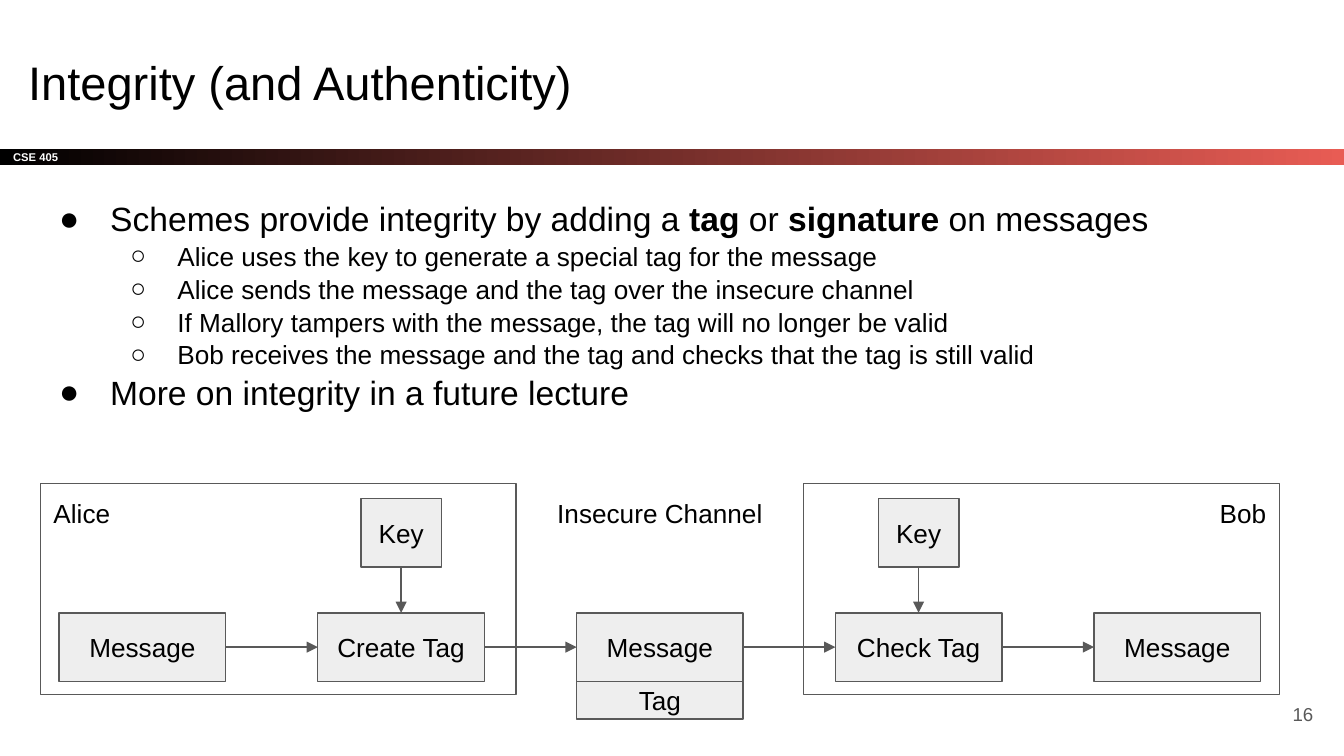
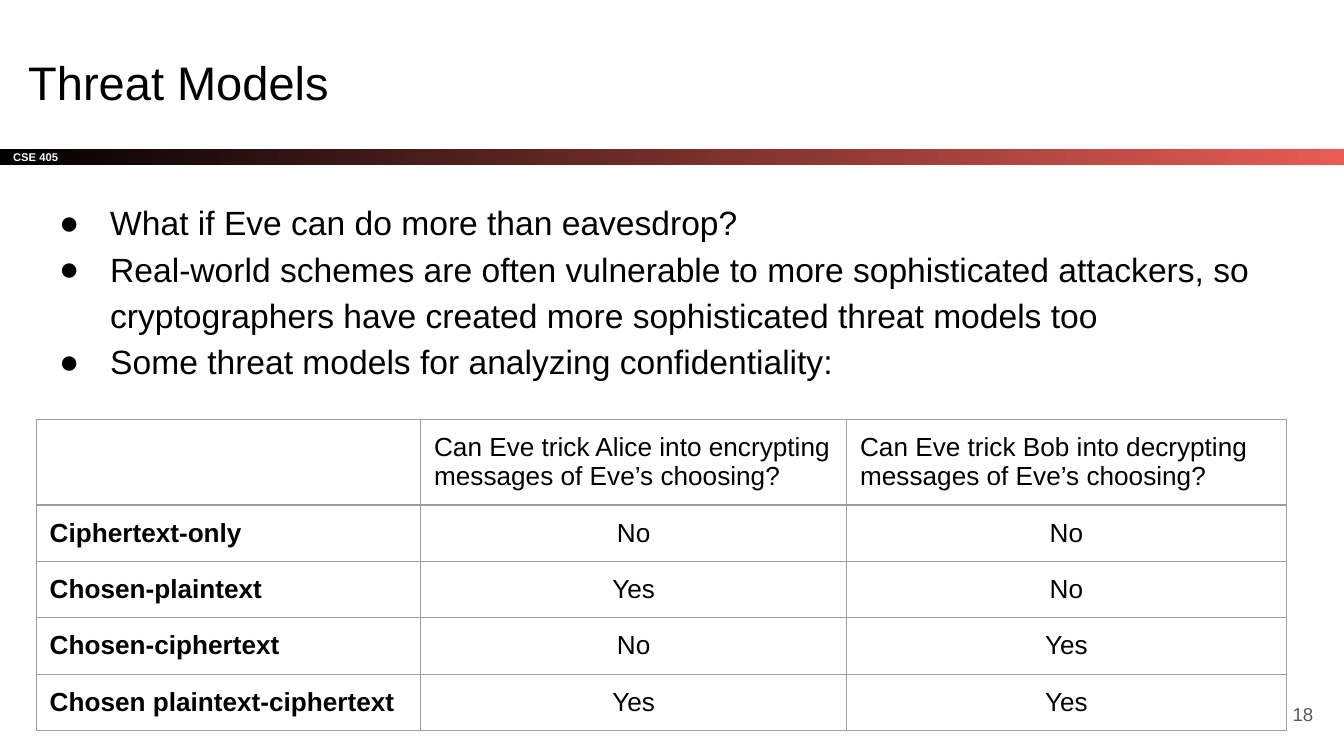
import pptx
import pptx.dml.color
import pptx.enum.shapes
import pptx.enum.text
import pptx.oxml.ns
import pptx.util
from lxml import etree

Inches = pptx.util.Inches
Pt = pptx.util.Pt
qn = pptx.oxml.ns.qn
ALIGN = pptx.enum.text.PP_ALIGN
ANCHOR = pptx.enum.text.MSO_ANCHOR
AUTO = pptx.enum.text.MSO_AUTO_SIZE
RECT = pptx.enum.shapes.MSO_SHAPE.RECTANGLE
STRAIGHT = pptx.enum.shapes.MSO_CONNECTOR.STRAIGHT

FONT = "Arial"
INSET = 0.1
SLIDE_W = 10
SLIDE_H = SLIDE_W * 9 / 16
COLORS = {
    "text": "000000",
    "band_start": "000000",
    "band_end": "E85C54",
    "band_text": "FFFFFF",
    "line": "595959",
    "box": "EEEEEE",
    "grid": "9E9E9E",
}
# Bullet level: (character, left margin, hanging indent, text size)
LEVELS = [("●", 0.5, 0.38, 18), ("○", 1, 0.35, 14)]


def rgb(name):
    return pptx.dml.color.RGBColor.from_string(COLORS[name])


def lengths(*values):
    return [Inches(v) for v in values]


def add_run(p, text, size, color="text", bold=False):
    r = p.add_run()
    r.text = text
    r.font.name = FONT
    r.font.size = Pt(size)
    r.font.bold = bold
    r.font.color.rgb = rgb(color)


def set_frame(tf, anchor=ANCHOR.TOP):
    tf.word_wrap = True
    tf.auto_size = AUTO.NONE
    tf.vertical_anchor = anchor
    tf.margin_left = tf.margin_right = tf.margin_top = tf.margin_bottom = Inches(INSET)


def write_line(sp, text, size, color="text", bold=False, align=ALIGN.LEFT, anchor=ANCHOR.TOP):
    set_frame(sp.text_frame, anchor)
    p = sp.text_frame.paragraphs[0]
    p.alignment = align
    add_run(p, text, size, color, bold)


def place(sp, box):
    sp.left, sp.top, sp.width, sp.height = lengths(*box)


def add_rect(slide, box, fill=None):
    sp = slide.shapes.add_shape(RECT, *lengths(*box))
    sp.shadow.inherit = False
    if fill:
        sp.fill.solid()
        sp.fill.fore_color.rgb = rgb(fill)
    else:
        sp.fill.background()
    sp.line.color.rgb = rgb("line")
    sp.line.width = Pt(0.75)
    return sp


def add_box(slide, text, box):
    sp = add_rect(slide, box, "box")
    write_line(sp, text, 14, align=ALIGN.CENTER, anchor=ANCHOR.MIDDLE)
    return sp


def add_label(slide, text, box, align):
    sp = slide.shapes.add_textbox(*lengths(*box))
    write_line(sp, text, 14, align=align)
    sp.text_frame.auto_size = AUTO.SHAPE_TO_FIT_TEXT


def add_arrow(slide, start, start_side, end, end_side):
    cx = slide.shapes.add_connector(STRAIGHT, 0, 0, 0, 0)
    cx.begin_connect(start, start_side)
    cx.end_connect(end, end_side)
    cx.line.color.rgb = rgb("line")
    cx.line.width = Pt(0.75)
    etree.SubElement(cx.line._get_or_add_ln(), qn("a:tailEnd"), type="triangle")
    etree.SubElement(cx._element.spPr, qn("a:effectLst"))


def add_band(slide, box):
    band = add_rect(slide, box)
    band.line.fill.background()
    band.fill.gradient()
    band.fill.gradient_angle = 0
    for stop, position, name in zip(band.fill.gradient_stops, (0, 1), ("band_start", "band_end")):
        stop.position = position
        stop.color.rgb = rgb(name)
    write_line(band, "CSE 405", 6, "band_text", bold=True, anchor=ANCHOR.MIDDLE)


def add_page_number(slide, number, box):
    sp = slide.shapes.add_textbox(*lengths(*box))
    write_line(sp, str(number), 10, "line", align=ALIGN.RIGHT, anchor=ANCHOR.MIDDLE)


def set_bullet(p, level):
    char, margin, hang, size = LEVELS[level]
    p.level = level
    pPr = p._p.get_or_add_pPr()
    pPr.set("marL", str(Inches(margin)))
    pPr.set("indent", str(-Inches(hang)))
    color = etree.SubElement(pPr, qn("a:buClr"))
    etree.SubElement(color, qn("a:srgbClr"), val=COLORS["text"])
    etree.SubElement(pPr, qn("a:buFont"), typeface=FONT)
    etree.SubElement(pPr, qn("a:buChar"), char=char)
    return size


def fill_body(body, items, spacing, box):
    """Each item is (level, runs); every second run is bold."""
    place(body, box)
    tf = body.text_frame
    set_frame(tf)
    for i, (level, runs) in enumerate(items):
        p = tf.add_paragraph() if i else tf.paragraphs[0]
        size = set_bullet(p, level)
        p.alignment = ALIGN.LEFT
        p.line_spacing = spacing
        p.space_before = p.space_after = Pt(0)
        for j, text in enumerate(runs):
            add_run(p, text, size, bold=j % 2 == 1)


def add_content_slide(prs, title, items, spacing, number):
    slide = prs.slides.add_slide(prs.slide_layouts[1])
    add_band(slide, (0, 1.11, SLIDE_W, 0.12))
    place(slide.shapes.title, (0.11, 0.3, 9.32, 0.63))
    write_line(slide.shapes.title, title, 25.2)
    fill_body(slide.placeholders[1], items, spacing, (0.22, 1.36, 9.32, 1.83))
    add_page_number(slide, number, (9.27, 5.1, 0.6, 0.43))
    return slide


def add_tag_diagram(slide, box):
    x, y, w, h = box
    panel_w, label_w, label_h = 3.54, 0.84, 0.44
    step_w, step_h, step_y = 1.24, 0.51, y + 0.96
    key_w, margin = 0.6, 0.14
    names = ["Message", "Create Tag", "Message", "Check Tag", "Message"]
    pitch = (w - 2 * margin - step_w) / (len(names) - 1)

    # Alice's and Bob's sides, with the channel between them
    for left in (x, x + w - panel_w):
        add_rect(slide, (left, y, panel_w, h))
    add_label(slide, "Alice", (x, y, label_w, label_h), ALIGN.LEFT)
    add_label(slide, "Bob", (x + w - label_w, y, label_w, label_h), ALIGN.RIGHT)
    add_label(slide, "Insecure Channel", (x + panel_w, y, w - 2 * panel_w, label_h), ALIGN.CENTER)

    # Chain of steps
    lefts = [x + margin + i * pitch for i in range(len(names))]
    steps = [add_box(slide, name, (left, step_y, step_w, step_h)) for name, left in zip(names, lefts)]
    for start, end in zip(steps, steps[1:]):
        add_arrow(slide, start, 3, end, 1)

    # Keys above the tag steps, and the tag under the sent message
    for i in (1, 3):
        key_x = lefts[i] + (step_w - key_w) / 2
        key = add_box(slide, "Key", (key_x, y + 0.11, key_w, step_h))
        add_arrow(slide, key, 2, steps[i], 0)
    add_box(slide, "Tag", (lefts[2], step_y + step_h, step_w, 0.28))


def set_borders(cell):
    tcPr = cell._tc.get_or_add_tcPr()
    for side in ("a:lnL", "a:lnR", "a:lnT", "a:lnB"):
        ln = etree.SubElement(tcPr, qn(side), w=str(Pt(0.75)))
        fill = etree.SubElement(ln, qn("a:solidFill"))
        etree.SubElement(fill, qn("a:srgbClr"), val=COLORS["grid"])


def add_threat_table(slide, rows, widths, row_h, left, top):
    size = lengths(left, top, sum(widths), row_h * len(rows))
    table = slide.shapes.add_table(len(rows), len(widths), *size).table
    table.first_row = table.horz_banding = False
    for column, width in zip(table.columns, widths):
        column.width = Inches(width)
    for i, row in enumerate(rows):
        table.rows[i].height = Inches(row_h)
        for j, text in enumerate(row):
            cell = table.cell(i, j)
            set_borders(cell)
            cell.fill.background()
            cell.margin_left = cell.margin_right = Inches(INSET)
            cell.margin_top = cell.margin_bottom = Inches(INSET)
            if text:
                p = cell.text_frame.paragraphs[0]
                p.alignment = ALIGN.CENTER if i and j else ALIGN.LEFT
                add_run(p, text, 14, bold=j == 0)


def build_integrity(prs):
    items = [
        (0, ["Schemes provide integrity by adding a ", "tag", " or ", "signature", " on messages"]),
        (1, ["Alice uses the key to generate a special tag for the message"]),
        (1, ["Alice sends the message and the tag over the insecure channel"]),
        (1, ["If Mallory tampers with the message, the tag will no longer be valid"]),
        (1, ["Bob receives the message and the tag and checks that the tag is still valid"]),
        (0, ["More on integrity in a future lecture"]),
    ]
    slide = add_content_slide(prs, "Integrity (and Authenticity)", items, 1.05, 16)
    add_tag_diagram(slide, (0.3, 3.6, 9.22, 1.57))


def build_threat_models(prs):
    items = [
        (0, ["What if Eve can do more than eavesdrop?"]),
        (0, ["Real-world schemes are often vulnerable to more sophisticated attackers, so "
             "cryptographers have created more sophisticated threat models too"]),
        (0, ["Some threat models for analyzing confidentiality:"]),
    ]
    rows = [
        ("", "Can Eve trick Alice into encrypting messages of Eve’s choosing?",
         "Can Eve trick Bob into decrypting messages of Eve’s choosing?"),
        ("Ciphertext-only", "No", "No"),
        ("Chosen-plaintext", "Yes", "No"),
        ("Chosen-ciphertext", "No", "Yes"),
        ("Chosen plaintext-ciphertext", "Yes", "Yes"),
    ]
    slide = add_content_slide(prs, "Threat Models", items, 1.15, 18)
    add_threat_table(slide, rows, (2.86, 3.17, 3.27), 0.42, 0.27, 3.12)


def main():
    prs = pptx.Presentation()
    prs.slide_width, prs.slide_height = lengths(SLIDE_W, SLIDE_H)
    build_integrity(prs)
    build_threat_models(prs)
    prs.save("out.pptx")


if __name__ == "__main__":
    main()
